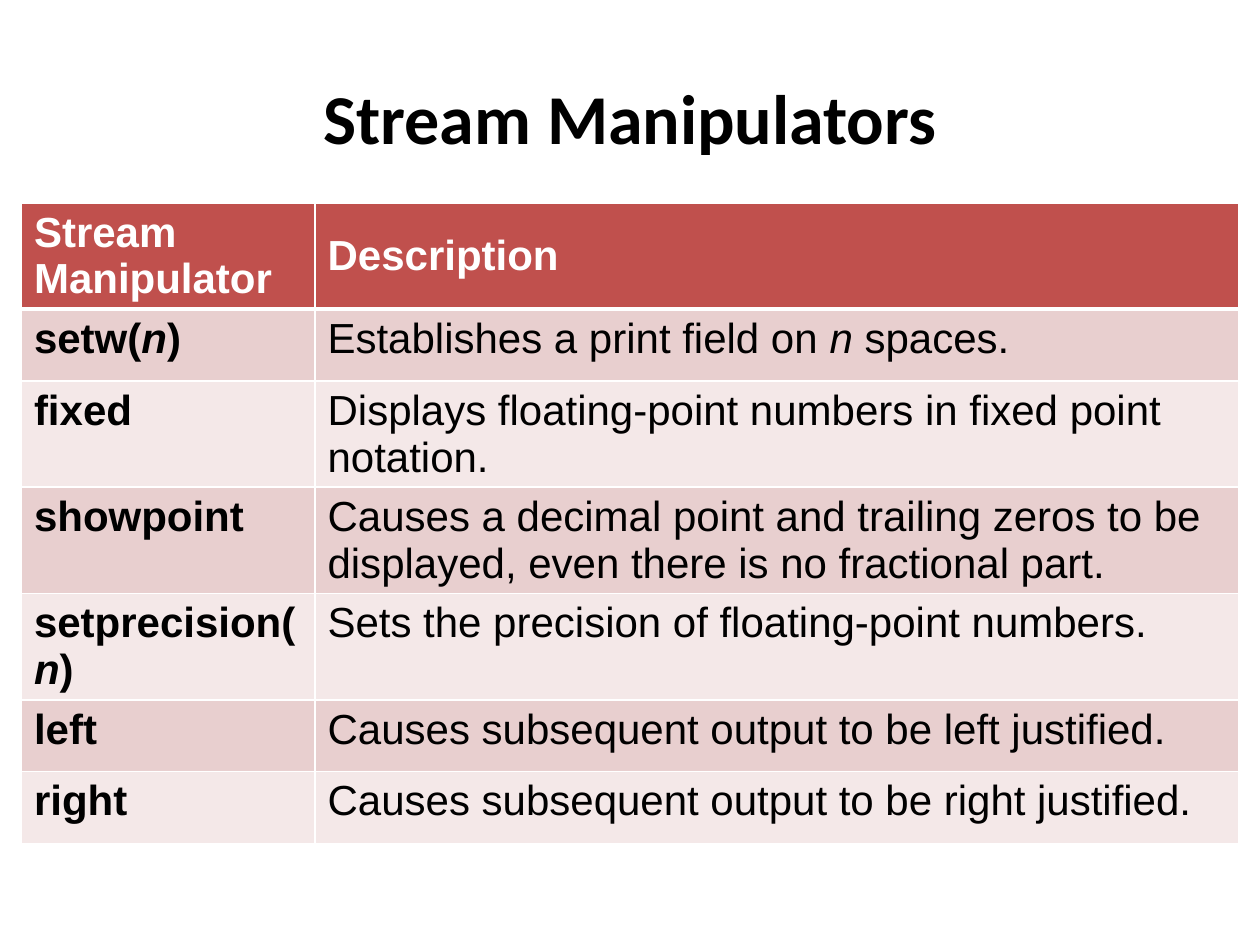
import pptx
import pptx.util
import pptx.dml.color
import pptx.enum.text
import pptx.oxml
import pptx.oxml.ns

Inches, Pt = pptx.util.Inches, pptx.util.Pt
ANCHOR = pptx.enum.text.MSO_ANCHOR

# Content: asterisks enclose italic text
TITLE = "Stream Manipulators"
ROWS = [
    ("Stream Manipulator", "Description"),
    ("setw(*n*)", "Establishes a print field on *n* spaces."),
    ("fixed", "Displays floating-point numbers in fixed point notation."),
    ("showpoint", "Causes a decimal point and trailing zeros to be displayed, "
                  "even there is no fractional part."),
    ("setprecision(*n*)", "Sets the precision of floating-point numbers."),
    ("left", "Causes subsequent output to be left justified."),
    ("right", "Causes subsequent output to be right justified."),
]

# Layout and colours
SLIDE_W, SLIDE_H = 10, 7.5
TITLE_BOX = (0.5, 0.3, 9, 1.25)
TABLE_LEFT, TABLE_TOP = 0.17, 1.61
COL_WIDTHS = (2.33, 7.33)
ROW_H = 0.57
HEADER_FILL, BAND_FILLS = "C0504D", ("E8CFCF", "F4E8E8")
WHITE, BLACK = "FFFFFF", "000000"


def rgb(value):
    return pptx.dml.color.RGBColor.from_string(value)


def add_text(p, text, color, **formats):
    for i, part in enumerate(text.split("*")):
        r = p.add_run()
        r.text = part
        for name, value in {**formats, "italic": i % 2 == 1}.items():
            setattr(r.font, name, value)
        r.font.color.rgb = rgb(color)


def set_borders(cell, widths):
    tc_pr = cell._tc.get_or_add_tcPr()
    for i, (side, width) in enumerate(widths.items()):
        tc_pr.insert(i, pptx.oxml.parse_xml(
            f'<a:ln{side} {pptx.oxml.ns.nsdecls("a")} w="{Pt(width)}">'
            f'<a:solidFill><a:srgbClr val="{WHITE}"/></a:solidFill></a:ln{side}>'))


prs = pptx.Presentation()
prs.slide_width, prs.slide_height = Inches(SLIDE_W), Inches(SLIDE_H)
s = prs.slides.add_slide(prs.slide_layouts[5])

# Title
title = s.shapes.title
for name, value in zip(("left", "top", "width", "height"), TITLE_BOX):
    setattr(title, name, Inches(value))
tf = title.text_frame
tf.vertical_anchor = ANCHOR.MIDDLE
p = tf.paragraphs[0]
p.alignment = pptx.enum.text.PP_ALIGN.CENTER
add_text(p, TITLE, BLACK, name="Calibri", size=Pt(40), bold=True)

# Table
table = s.shapes.add_table(
    len(ROWS), len(COL_WIDTHS), Inches(TABLE_LEFT), Inches(TABLE_TOP),
    Inches(sum(COL_WIDTHS)), Inches(ROW_H * len(ROWS))).table
for column, width in zip(table.columns, COL_WIDTHS):
    column.width = Inches(width)

for i, row in enumerate(ROWS):
    table.rows[i].height = Inches(ROW_H)
    header = i == 0
    for j, text in enumerate(row):
        cell = table.cell(i, j)
        cell.vertical_anchor = ANCHOR.MIDDLE if header and j else ANCHOR.TOP
        cell.fill.solid()
        cell.fill.fore_color.rgb = rgb(HEADER_FILL if header else BAND_FILLS[(i - 1) % 2])
        set_borders(cell, {"L": 1, "R": 1, "T": 3 if i == 1 else 1, "B": 3 if header else 1})
        add_text(cell.text_frame.paragraphs[0], text, WHITE if header else BLACK,
                 name="Arial", size=Pt(24), bold=header or j == 0)

prs.save("out.pptx")
